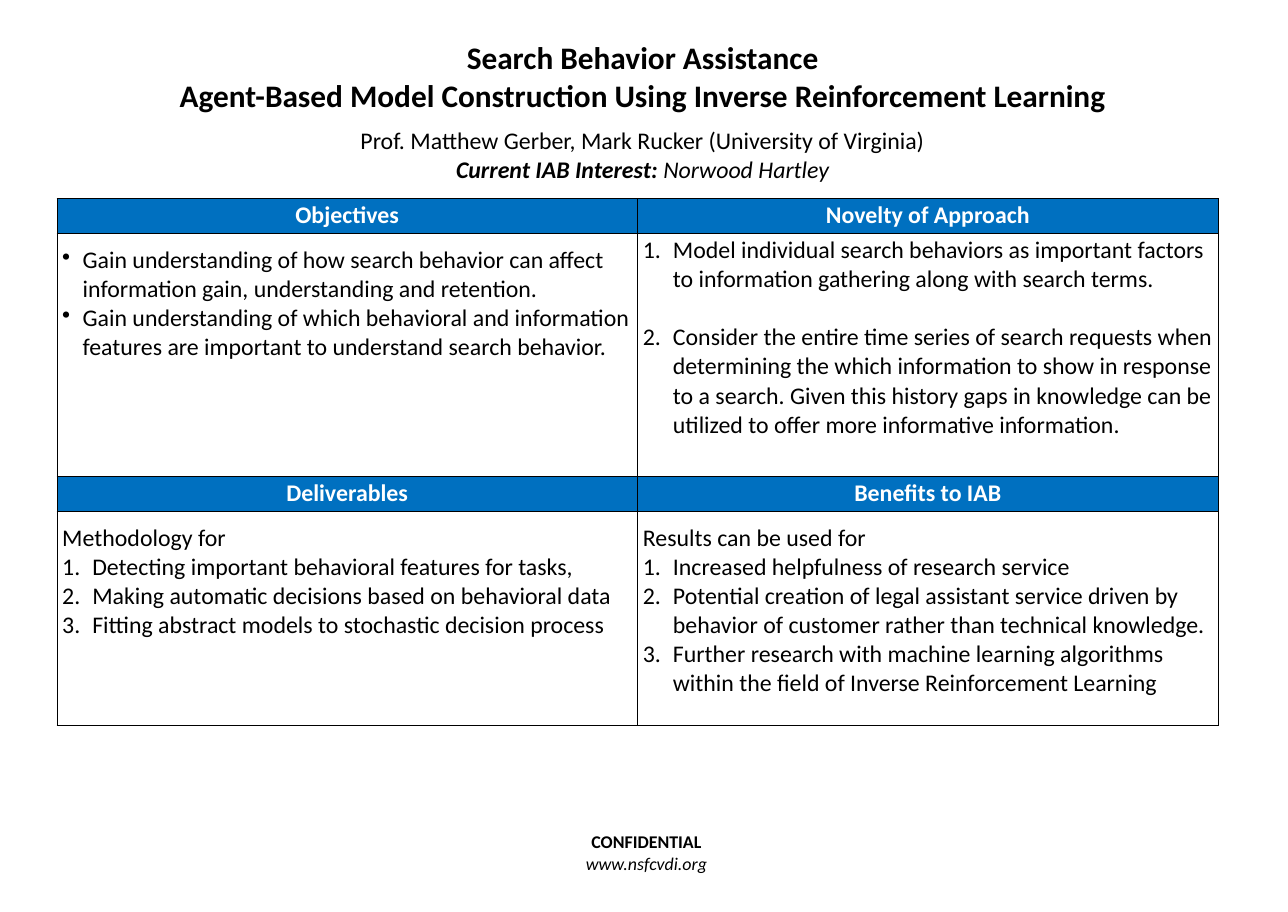
from lxml import etree
from pptx import Presentation
from pptx import util as u
from pptx.dml.color import RGBColor
from pptx.enum import text
from pptx.oxml import ns

WIDTH, HEIGHT = 24, 17
GRID_COLUMNS, GRID_ROWS = 48, 34
COLORS = {"ink": "000000", "paper": "FFFFFF", "band": "0070C0"}
FONT = "Calibri"
BODY_SIZE = 32
LINE_GAP = 39
BULLET = ("buChar", {"char": "•"}, 0.38)
NUMBER = ("buAutoNum", {"type": "arabicPeriod"}, 0.56)

SECTIONS = [
    [
        ("Objectives", 0.23, [
            (BULLET, "Gain understanding of how search behavior can affect "
                     "information gain, understanding and retention.", 0),
            (BULLET, "Gain understanding of which behavioral and information "
                     "features are important to understand search behavior.", 0),
        ]),
        ("Novelty of Approach", 0.05, [
            (NUMBER, "Model individual search behaviors as important factors "
                     "to information gathering along with search terms.", LINE_GAP),
            (NUMBER, "Consider the entire time series of search requests when "
                     "determining the which information to show in response to a "
                     "search. Given this history gaps in knowledge can be "
                     "utilized to offer more informative information.", 0),
        ]),
    ],
    [
        ("Deliverables", 0.23, [
            (None, "Methodology for", 0),
            (NUMBER, "Detecting important behavioral features for tasks,", 0),
            (NUMBER, "Making automatic decisions based on behavioral data", 0),
            (NUMBER, "Fitting abstract models to stochastic decision process", 0),
        ]),
        ("Benefits to IAB", 0.23, [
            (None, "Results can be used for", 0),
            (NUMBER, "Increased helpfulness of research service", 0),
            (NUMBER, "Potential creation of legal assistant service driven by "
                     "behavior of customer rather than technical knowledge.", 0),
            (NUMBER, "Further research with machine learning algorithms "
                     "within the field of Inverse Reinforcement Learning", 0),
        ]),
    ],
]


def across(columns):
    return u.Inches(WIDTH * columns / GRID_COLUMNS)


def down(rows):
    return u.Inches(HEIGHT * rows / GRID_ROWS)


def area(column, row, columns, rows):
    return across(column), down(row), across(columns), down(rows)


def add_run(paragraph, words, size, bold=False, italic=False, color="ink"):
    run = paragraph.add_run()
    run.text = words
    font = run.font
    font.name, font.size = FONT, u.Pt(size)
    font.bold, font.italic = bold, italic
    font.color.rgb = RGBColor.from_string(COLORS[color])


def write_centered(frame, lines, size):
    frame.word_wrap = True
    frame.auto_size = text.MSO_AUTO_SIZE.NONE
    frame.vertical_anchor = text.MSO_ANCHOR.TOP
    for index, runs in enumerate(lines):
        paragraph = frame.paragraphs[0] if index == 0 else frame.add_paragraph()
        paragraph.alignment = text.PP_ALIGN.CENTER
        for words, bold, italic in runs:
            add_run(paragraph, words, size, bold, italic)


def add_centered_text(slide, place, lines, size):
    write_centered(slide.shapes.add_textbox(*place).text_frame, lines, size)


def add_marker(paragraph, marker):
    tag, attributes, indent = marker
    properties = paragraph._p.get_or_add_pPr()
    properties.set("marL", str(u.Inches(indent)))
    properties.set("indent", str(-u.Inches(indent)))
    etree.SubElement(properties, ns.qn("a:" + tag), attributes)


def add_borders(cell):
    properties = cell._tc.get_or_add_tcPr()
    for index, side in enumerate(("lnL", "lnR", "lnT", "lnB")):
        line = etree.Element(ns.qn("a:" + side), {"w": str(u.Pt(1))})
        fill = etree.SubElement(line, ns.qn("a:solidFill"))
        etree.SubElement(fill, ns.qn("a:srgbClr"), {"val": COLORS["ink"]})
        properties.insert(index, line)


def fill_heading(cell, heading):
    cell.fill.solid()
    cell.fill.fore_color.rgb = RGBColor.from_string(COLORS["band"])
    paragraph = cell.text_frame.paragraphs[0]
    paragraph.alignment = text.PP_ALIGN.CENTER
    add_run(paragraph, heading, BODY_SIZE, bold=True, color="paper")
    add_borders(cell)


def fill_body(cell, top, points):
    cell.fill.background()
    cell.margin_top = u.Inches(top)
    frame = cell.text_frame
    for index, (marker, words, gap) in enumerate(points):
        paragraph = frame.paragraphs[0] if index == 0 else frame.add_paragraph()
        paragraph.space_after = u.Pt(gap)
        if marker:
            add_marker(paragraph, marker)
        add_run(paragraph, words, BODY_SIZE)
    add_borders(cell)


def add_sections(slide, place, row_heights):
    table = slide.shapes.add_table(len(row_heights), 2, *place).table
    table.first_row = table.horz_banding = False
    for row, height in zip(table.rows, row_heights):
        row.height = down(height)
    for band, sections in enumerate(SECTIONS):
        for column, (heading, top, points) in enumerate(sections):
            fill_heading(table.cell(2 * band, column), heading)
            fill_body(table.cell(2 * band + 1, column), top, points)


def add_title(slide, place, lines, size):
    title = slide.shapes.title
    title.left, title.top, title.width, title.height = place
    write_centered(title.text_frame, lines, size)


def main():
    deck = Presentation()
    deck.slide_width, deck.slide_height = u.Inches(WIDTH), u.Inches(HEIGHT)
    slide = deck.slides.add_slide(deck.slide_layouts[5])

    add_title(slide, area(2.46, 1.34, 42.98, 3.04), [
        [("Search Behavior Assistance", True, False)],
        [("Agent-Based Model Construction Using Inverse Reinforcement Learning",
          True, False)],
    ], 42)
    add_centered_text(slide, area(2.46, 4.6, 42.98, 2.38), [
        [("Prof. Matthew Gerber, Mark Rucker (University of Virginia)",
          False, False)],
        [("Current IAB Interest: ", True, True),
         ("Norwood Hartley", False, True)],
    ], BODY_SIZE)
    add_sections(slide, area(2.12, 7.4, 43.28, 19.64), (1.28, 9.08, 1.28, 8))
    add_centered_text(slide, area(17.84, 30.88, 12.5, 1.82), [
        [("CONFIDENTIAL", True, False)],
        [("www.nsfcvdi.org", False, True)],
    ], 24)
    deck.save("out.pptx")


main()
